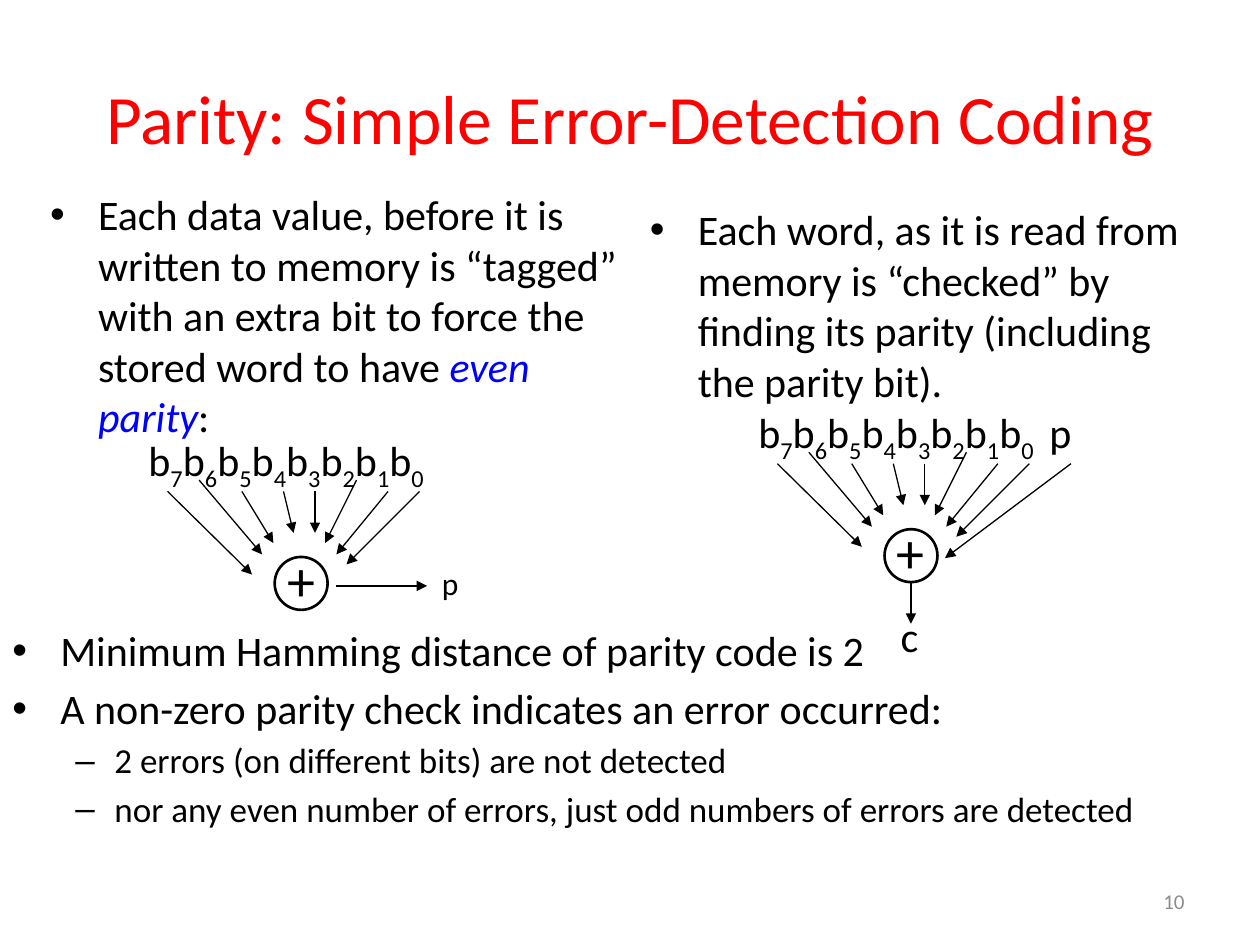
from lxml.etree import SubElement
from pptx import Presentation
from pptx.dml.color import RGBColor
from pptx.enum.shapes import MSO_CONNECTOR as Connector, MSO_SHAPE as Preset
from pptx.enum.text import MSO_ANCHOR as Anchor, PP_ALIGN as Align
from pptx.oxml.ns import qn
from pptx.util import Inches, Pt

COLORS = {"title": "FF0000", "text": "000000", "accent": "0000FF", "number": "8C8C8C"}
FAN = [
    ((1.15, -0.52), (0.57, 0.06)),
    ((0.9, -0.52), (0.49, -0.02)),
    ((0.65, -0.61), (0.4, -0.11)),
    ((0.32, -0.52), (0.32, -0.19)),
    ((0.07, -0.52), (0.15, -0.19)),
    ((-0.26, -0.52), (-0.01, -0.11)),
    ((-0.6, -0.61), (-0.1, -0.02)),
    ((-0.85, -0.52), (-0.18, 0.14)),
]


class SlideBuilder:
    """Draws styled text, bullets and parity diagrams on one slide."""

    def __init__(self, slide, font="Calibri"):
        self.slide = slide
        self.shapes = slide.shapes
        self.font = font

    def start_group(self):
        self.shapes = self.slide.shapes.add_group_shape().shapes

    def end_group(self):
        self.shapes = self.slide.shapes

    def frame(self, box, wrap=True, anchor=Anchor.TOP):
        shape = self.shapes.add_textbox(*map(Inches, box))
        shape.text_frame.word_wrap = wrap
        shape.text_frame.vertical_anchor = anchor
        return shape.text_frame

    def run(self, paragraph, text, size, color="text", italic=False, baseline=0):
        run = paragraph.add_run()
        run.text = text
        run.font.name = self.font
        run.font.size = Pt(size)
        run.font.italic = italic
        run.font.color.rgb = RGBColor.from_string(COLORS[color])
        if baseline:
            run.font._element.set("baseline", str(baseline))

    def text(self, box, text, size, color="text", align=Align.LEFT, anchor=Anchor.TOP, wrap=False):
        paragraph = self.frame(box, wrap, anchor).paragraphs[0]
        paragraph.alignment = align
        self.run(paragraph, text, size, color)

    def bullets(self, box, items, spacing=1.0):
        frame = self.frame(box)
        for index, (level, size, runs) in enumerate(items):
            paragraph = frame.add_paragraph() if index else frame.paragraphs[0]
            paragraph.level = level
            paragraph.line_spacing = spacing
            if index:
                paragraph.space_before = Pt(size * 0.3)
            margin, hanging, mark = [(0.38, 0.38, "•"), (0.81, 0.31, "–")][level]
            properties = paragraph._p.get_or_add_pPr()
            properties.set("marL", str(Inches(margin)))
            properties.set("indent", str(-Inches(hanging)))
            SubElement(properties, qn("a:buFont")).set("typeface", "Arial")
            SubElement(properties, qn("a:buChar")).set("char", mark)
            for text, color, italic in runs:
                self.run(paragraph, text, size, color, italic)

    def bits(self, left, top):
        paragraph = self.frame((left, top, 2.53, 0.5), wrap=False).paragraphs[0]
        for bit in reversed(range(8)):
            self.run(paragraph, "b", 24)
            self.run(paragraph, str(bit), 24, baseline=-25000)

    def arrow(self, start, end):
        connector = self.shapes.add_connector(Connector.STRAIGHT, *map(Inches, start + end))
        connector.line.color.rgb = RGBColor.from_string(COLORS["text"])
        connector.line.width = Pt(0.75)
        SubElement(connector.line._get_or_add_ln(), qn("a:tailEnd")).set("type", "triangle")
        SubElement(connector._element.spPr, qn("a:effectLst"))

    def parity_sum(self, left, top):
        self.text((left, top - 0.14, 0.46, 0.63), "+", 32)
        circle = self.shapes.add_shape(Preset.OVAL, *map(Inches, (left, top, 0.42, 0.42)))
        circle.shadow.inherit = False
        circle.fill.background()
        circle.line.color.rgb = RGBColor.from_string(COLORS["text"])
        circle.line.width = Pt(1.5)
        for (start_x, start_y), (end_x, end_y) in FAN:
            self.arrow((left + start_x, top + start_y), (left + end_x, top + end_y))


def main():
    presentation = Presentation()
    presentation.slide_width, presentation.slide_height = Inches(10), Inches(7.5)
    builder = SlideBuilder(presentation.slides.add_slide(presentation.slide_layouts[6]))

    builder.text((0.5, 0.3, 9, 1.25), "Parity: Simple Error-Detection Coding", 39.6,
                 "title", Align.CENTER, Anchor.MIDDLE, wrap=True)
    builder.bullets((0.3, 1.45, 4.79, 2.05), [(0, 24, [
        ("Each data value, before it is written to memory is “tagged” with an extra bit "
         "to force the stored word to have ", "text", False),
        ("even parity", "accent", True),
        (":", "text", False),
    ])])
    builder.bullets((5.06, 1.57, 4.43, 1.8), [(0, 24, [
        ("Each word, as it is read from memory is “checked” by finding its parity "
         "(including the parity bit).", "text", False),
    ])])

    builder.start_group()
    builder.bits(1.08, 3.4)
    builder.parity_sum(2.18, 4.42)
    builder.arrow((2.67, 4.65), (3.39, 4.65))
    builder.end_group()

    builder.start_group()
    builder.bits(5.92, 3.18)
    builder.text((8.23, 3.18, 0.4, 0.5), "p", 24)
    builder.parity_sum(7.02, 4.2)
    builder.arrow((8.5, 3.68), (7.5, 4.43))
    builder.arrow((7.23, 4.61), (7.23, 4.95))
    builder.text((7.05, 4.8, 0.37, 0.5), "c", 24)
    builder.end_group()

    conclusions = [
        (0, 24, "Minimum Hamming distance of parity code is 2"),
        (0, 24, "A non-zero parity check indicates an error occurred:"),
        (1, 20, "2 errors (on different bits) are not detected"),
        (1, 20, "nor any even number of errors, just odd numbers of errors are detected"),
    ]
    builder.bullets((0, 4.95, 9.25, 2.25), [
        (level, size, [(text, "text", False)]) for level, size, text in conclusions
    ], spacing=0.9)
    builder.text((7.17, 6.95, 2.33, 0.4), "10", 12, "number", Align.RIGHT, Anchor.MIDDLE, wrap=True)
    builder.text((3.41, 4.43, 0.33, 0.4), "p", 18)
    presentation.save("out.pptx")


if __name__ == "__main__":
    main()
